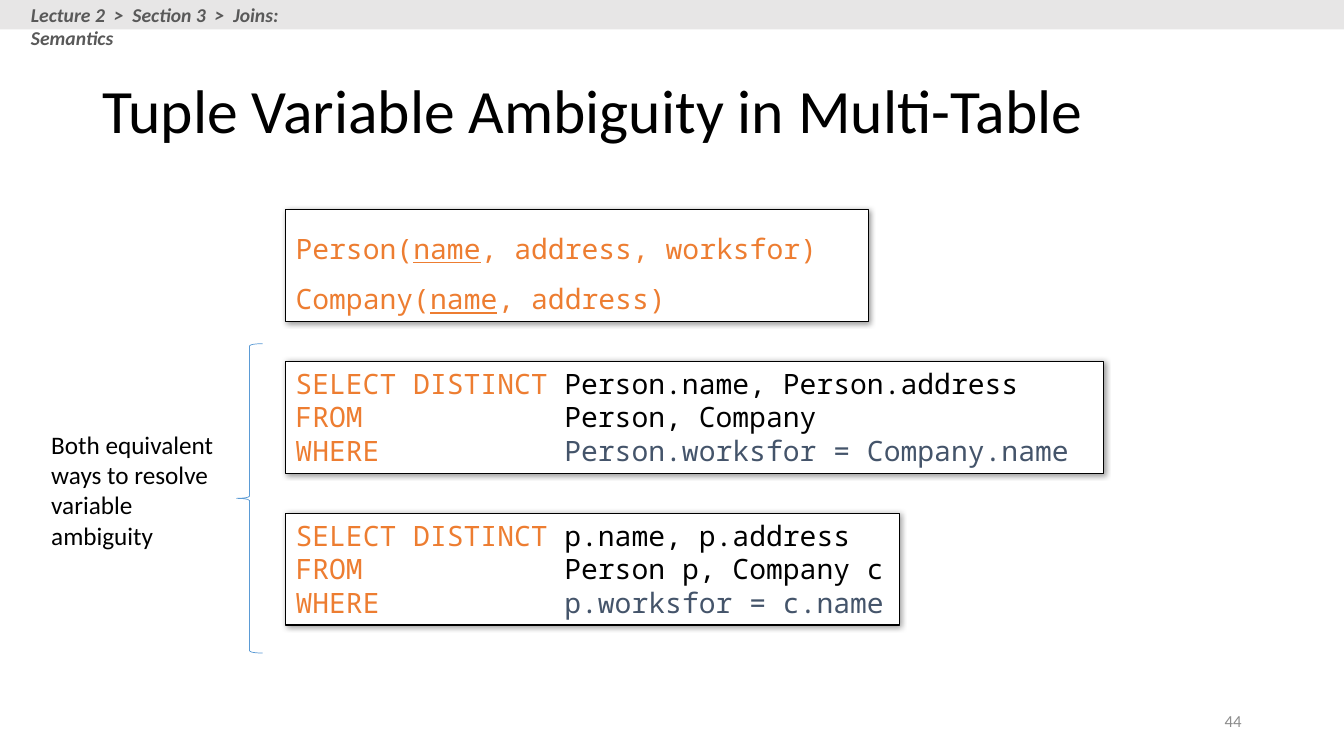
from lxml import etree
from pptx import Presentation
from pptx.dml.color import RGBColor
from pptx.enum import shapes, text
from pptx.oxml.ns import qn
from pptx.util import Pt

BLACK = RGBColor(0x00, 0x00, 0x00)
WHITE = RGBColor(0xFF, 0xFF, 0xFF)
BAR = RGBColor(0xE7, 0xE6, 0xE6)
CRUMB = RGBColor(0x59, 0x59, 0x59)
NUMBER = RGBColor(0x8C, 0x8C, 0x8C)
ORANGE = RGBColor(0xED, 0x7D, 0x31)
SLATE = RGBColor(0x44, 0x54, 0x6A)
BLUE = RGBColor(0x5B, 0x9B, 0xD5)

BOX_LEFT, BOX_HEIGHT = 204, 80
CODE_SIZE = 20
CODE_TAB = 16 * 0.6 * CODE_SIZE  # sixteen monospaced characters

prs = Presentation()
prs.slide_width, prs.slide_height = Pt(960), Pt(540)
s = prs.slides.add_slide(prs.slide_layouts[6])


def add_label(box, words, anchor=text.MSO_ANCHOR.TOP, align=text.PP_ALIGN.LEFT, spacing=1.0, **font):
    """Add a wrapped text box in Calibri; font holds the format values."""
    tf = s.shapes.add_textbox(*map(Pt, box)).text_frame
    tf.word_wrap, tf.vertical_anchor = True, anchor
    p = tf.paragraphs[0]
    p.alignment, p.line_spacing = align, spacing
    r = p.add_run()
    r.text, r.font.name = words, "Calibri"
    r.font.color.rgb = font.pop("color")
    for name, value in font.items():
        setattr(r.font, name, value)


def add_code_box(top, width, lines, spacing=1.0):
    """Add a framed box; each line is a list of (words, colour, underline)."""
    sp = s.shapes.add_shape(shapes.MSO_SHAPE.RECTANGLE, *map(Pt, (BOX_LEFT, top, width, BOX_HEIGHT)))
    sp.fill.solid()
    sp.fill.fore_color.rgb = WHITE
    sp.line.color.rgb, sp.line.width = BLACK, Pt(0.75)
    sp.shadow.inherit = False
    shadow = etree.SubElement(sp._element.spPr.find(qn("a:effectLst")), qn("a:outerShdw"),
                              blurRad=str(Pt(4)), dist=str(Pt(1)), dir="2700000", algn="tl", rotWithShape="0")
    color = etree.SubElement(shadow, qn("a:srgbClr"), val=str(BLACK))
    etree.SubElement(color, qn("a:alpha"), val="40000")

    tf = sp.text_frame
    tf.word_wrap, tf.vertical_anchor = True, text.MSO_ANCHOR.TOP
    p = tf.paragraphs[0]
    p.alignment, p.line_spacing = text.PP_ALIGN.LEFT, spacing
    tabs = etree.SubElement(p._p.get_or_add_pPr(), qn("a:tabLst"))
    etree.SubElement(tabs, qn("a:tab"), pos=str(Pt(CODE_TAB)), algn="l")
    p.font.size = Pt(CODE_SIZE)
    for i, line in enumerate(lines):
        if i:
            p.add_line_break()
        for words, color, underline in line:
            r = p.add_run()
            r.text = words
            r.font.name, r.font.size = "Noto Sans Mono", Pt(CODE_SIZE)
            r.font.color.rgb, r.font.underline = color, underline


# Header bar, breadcrumb, title and slide number
bar = s.shapes.add_shape(shapes.MSO_SHAPE.RECTANGLE, 0, 0, prs.slide_width, Pt(21))
bar.fill.solid()
bar.fill.fore_color.rgb = BAR
bar.line.fill.background()
bar.shadow.inherit = False
add_label((15, -1.5, 248.5, 24.5), "Lecture 2  >  Section 3  >  Joins: Semantics",
          size=Pt(14), color=CRUMB, bold=True, italic=True)
add_label((66, 29, 828, 104), "Tuple Variable Ambiguity in Multi-Table",
          anchor=text.MSO_ANCHOR.MIDDLE, spacing=0.9, size=Pt(44), color=BLACK)
add_label((678, 500.5, 216, 29), "44", anchor=text.MSO_ANCHOR.MIDDLE,
          align=text.PP_ALIGN.RIGHT, size=Pt(12), color=NUMBER)

# Table schemas, keys underlined
schemas = [("Person", "address, worksfor"), ("Company", "address")]
add_code_box(149.5, 416.5, [
    [(f"{table}(", ORANGE, False), ("name", ORANGE, True), (f", {columns})", ORANGE, False)]
    for table, columns in schemas
], spacing=1.5)

# The two equivalent queries
queries = [
    (258, 584, "Person.name, Person.address", "Person, Company", "Person.worksfor = Company.name"),
    (366.5, 438.5, "p.name, p.address", "Person p, Company c", "p.worksfor = c.name"),
]
for top, width, *clauses in queries:
    add_code_box(top, width, [
        [(f"{keyword}\t", ORANGE, False), (clause, color, False)]
        for keyword, clause, color in zip(("SELECT DISTINCT", "FROM", "WHERE"), clauses, (BLACK, BLACK, SLATE))
    ])

# Brace joining the queries, with its remark
brace = s.shapes.add_shape(shapes.MSO_SHAPE.LEFT_BRACE, Pt(169), Pt(245.5), Pt(18.5), Pt(221))
brace.fill.background()
brace.line.color.rgb, brace.line.width = BLUE, Pt(0.5)
brace.shadow.inherit = False
add_label((29.5, 303, 139.5, 94.5), "Both equivalent ways to resolve variable ambiguity",
          size=Pt(18), color=BLACK)

prs.save("out.pptx")
